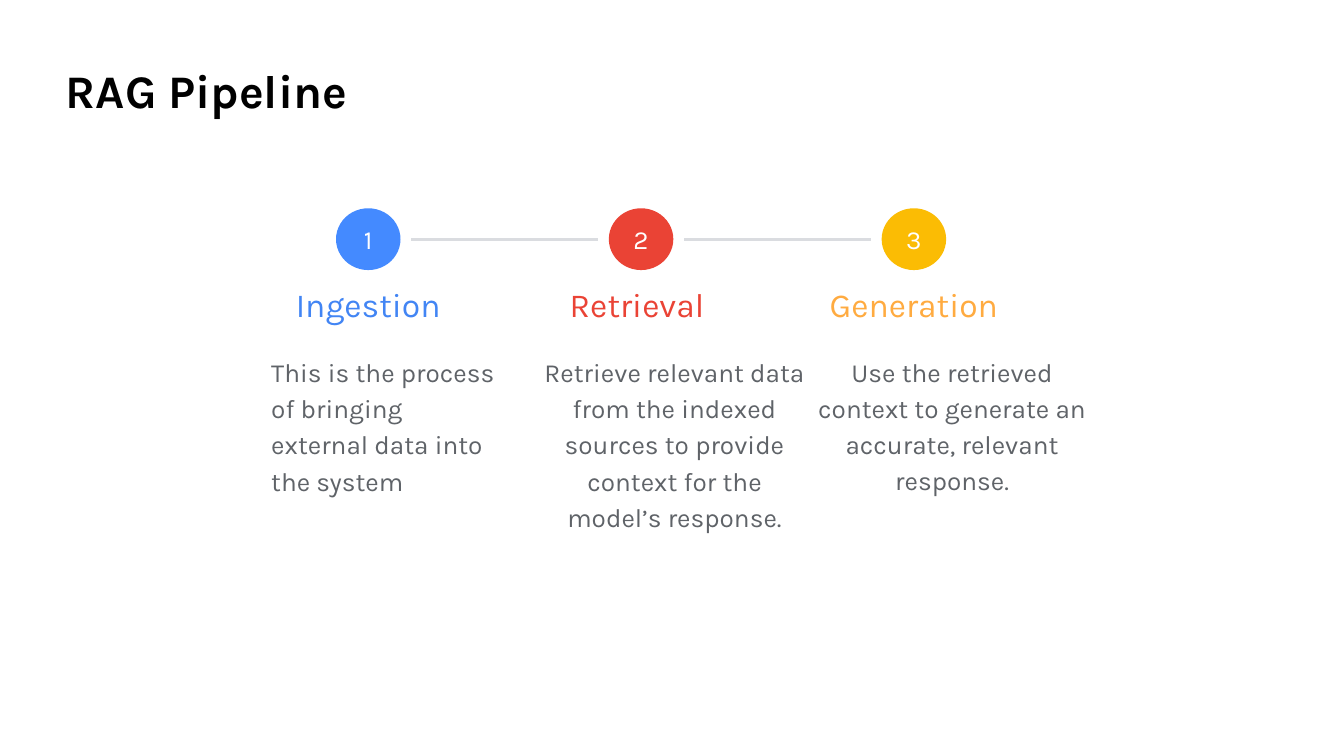
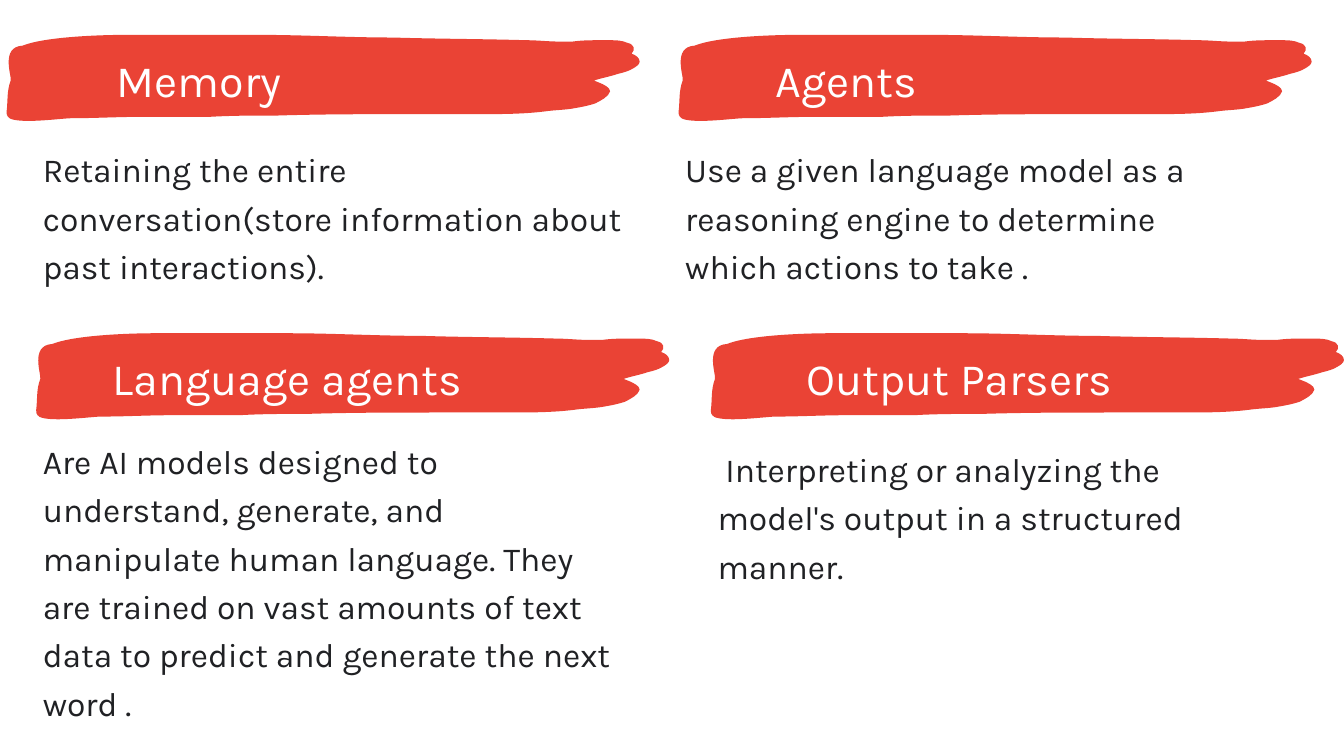
import pptx
import pptx.dml.color
import pptx.enum.shapes
import pptx.enum.text
import pptx.oxml.ns
import pptx.util
from lxml import etree

RGBColor = pptx.dml.color.RGBColor
Inches = pptx.util.Inches
ALIGN = pptx.enum.text.PP_ALIGN
ANCHOR = pptx.enum.text.MSO_ANCHOR
AUTO_SIZE = pptx.enum.text.MSO_AUTO_SIZE

BLACK = RGBColor(0x00, 0x00, 0x00)
WHITE = RGBColor(0xFF, 0xFF, 0xFF)
INK = RGBColor(0x20, 0x21, 0x24)
GRAY = RGBColor(0x5F, 0x63, 0x68)
LINE_GRAY = RGBColor(0xDA, 0xDC, 0xE0)
BLUE = RGBColor(0x42, 0x85, 0xF4)
BRIGHT_BLUE = RGBColor(0x44, 0x8A, 0xFF)
RED = RGBColor(0xEA, 0x43, 0x35)
YELLOW = RGBColor(0xFB, 0xBC, 0x04)
ORANGE = RGBColor(0xFF, 0xAB, 0x40)

FONT = "Karla"
SLIDE_WIDTH, SLIDE_HEIGHT = 10, 5.625
TITLE_ONLY_LAYOUT, BLANK_LAYOUT = 5, 6
BOX_MARGINS = (0.1, 0.1, 0.1, 0.1)
BANNER_MARGINS = (0, 0, 0.25, 0)

# Pipeline steps stand in equal columns.
STEP_LEFT, STEP_PITCH = 1.92, 2.03
HEADING_WIDTH, HEADING_HEIGHT = 1.64, 0.51
HEADING_TOP = 2.01
BODY_TOP = HEADING_TOP + HEADING_HEIGHT
CIRCLE_WIDTH, CIRCLE_HEIGHT = 0.48, 0.46
CIRCLE_TOP = HEADING_TOP - CIRCLE_HEIGHT
CIRCLE_GAP = 0.08

STEPS = [
    ("Ingestion", "This is the process of bringing external data into the system",
     BLUE, BRIGHT_BLUE, ALIGN.LEFT, (1.93, 1.02)),
    ("Retrieval ", "Retrieve relevant data from the indexed sources to provide "
     "context for the model’s response.",
     RED, RED, ALIGN.CENTER, (2.14, 1.02)),
    ("Generation", "Use the retrieved context to generate an accurate, relevant response.",
     ORANGE, YELLOW, ALIGN.CENTER, (2.21, 1.93)),
]

# Brush stroke in hundredths of an inch: a start, then cubic curves
# (two control points and an end point).
BRUSH_START = (121, 0)
BRUSH_CURVES = [
    (111, 0, 102, 0, 92, 0), (91, 0, 37, 0, 17, 8), (0, 9, 9, 31, 8, 34),
    (5, 42, 6, 49, 5, 57), (5, 59, 5, 60, 6, 61), (7, 63, 13, 64, 21, 64),
    (33, 64, 49, 62, 53, 62), (71, 62, 88, 61, 106, 61),
    (123, 61, 139, 61, 156, 61), (173, 60, 190, 60, 207, 60),
    (240, 59, 274, 59, 307, 59), (324, 59, 340, 59, 356, 59),
    (372, 59, 389, 59, 405, 57), (412, 56, 418, 56, 425, 55),
    (431, 54, 437, 53, 443, 51), (447, 49, 453, 46, 454, 42),
    (454, 39, 449, 37, 447, 36), (445, 35, 444, 35, 442, 34),
    (448, 32, 454, 31, 460, 29), (464, 28, 468, 27, 471, 25),
    (473, 24, 476, 22, 476, 20), (476, 17, 473, 15, 470, 14),
    (473, 11, 472, 7, 467, 6), (463, 4, 458, 4, 453, 4),
    (451, 4, 449, 4, 447, 4), (440, 4, 433, 4, 426, 5),
    (424, 5, 422, 5, 420, 5), (419, 5, 418, 5, 417, 5),
    (408, 5, 400, 4, 392, 4), (358, 3, 325, 3, 292, 2),
    (259, 2, 226, 0, 192, 0), (168, 0, 145, 0, 121, 0),
]
BANNER_TOPS = (0.26, 2.48)
LABEL_DROP = 0.13
LABEL_SIZE = (3.88, 0.39)

# row, brush left, label, label left, body box, space after, body
TOPICS = [
    (0, 0, "Memory", 0.87, (0.22, 0.95, 4.54, 1.23), 7,
     "Retaining the entire conversation(store information about past interactions)."),
    (0, 5, "Agents", 5.77, (5, 0.95, 4.42, 1.63), 0,
     "Use a given language model as a reasoning engine to determine "
     "which actions to take ."),
    (1, 0.22, "Language agents", 0.84, (0.22, 3.12, 4.54, 1.96), 7,
     "Are AI models designed to understand, generate, and manipulate human "
     "language. They are trained on vast amounts of text data to predict and "
     "generate the next word ."),
    (1, 5.24, "Output Parsers", 6, (5.24, 3.18, 4.42, 1.26), 0,
     " Interpreting or analyzing the model's output in a structured manner."),
]


def write_text(shape, text, *, size, color, bold=False, align=ALIGN.LEFT,
               anchor=ANCHOR.TOP, margins=BOX_MARGINS, line_spacing=1.0,
               space_after=0, grow=False):
    frame = shape.text_frame
    frame.word_wrap = True
    frame.auto_size = AUTO_SIZE.SHAPE_TO_FIT_TEXT if grow else AUTO_SIZE.NONE
    frame.vertical_anchor = anchor
    (frame.margin_left, frame.margin_top,
     frame.margin_right, frame.margin_bottom) = map(Inches, margins)
    paragraph = frame.paragraphs[0]
    paragraph.alignment = align
    paragraph.line_spacing = line_spacing
    paragraph.space_before = pptx.util.Pt(0)
    paragraph.space_after = pptx.util.Pt(space_after)
    run = paragraph.add_run()
    run.text = text
    run.font.name = FONT
    run.font.size = pptx.util.Pt(size)
    run.font.bold = bold
    run.font.color.rgb = color


def add_text(slide, box, text, **text_format):
    shape = slide.shapes.add_textbox(*map(Inches, box))
    write_text(shape, text, **text_format)


def set_title(slide, box, text):
    title = slide.shapes.title
    title.left, title.top, title.width, title.height = map(Inches, box)
    write_text(title, text, size=25, color=BLACK, bold=True, line_spacing=1.15, grow=True)


def paint(shape, color):
    """Give a shape a flat fill with no outline or shadow."""
    shape.shadow.inherit = False
    shape.fill.solid()
    shape.fill.fore_color.rgb = color
    shape.line.fill.background()


def add_numbered_circle(slide, left, number, color):
    box = (left, CIRCLE_TOP, CIRCLE_WIDTH, CIRCLE_HEIGHT)
    circle = slide.shapes.add_shape(
        pptx.enum.shapes.MSO_SHAPE.OVAL, *map(Inches, box))
    paint(circle, color)
    write_text(circle, str(number), size=14, color=WHITE,
               align=ALIGN.CENTER, anchor=ANCHOR.MIDDLE)


def add_step_line(slide, start, end):
    y = CIRCLE_TOP + CIRCLE_HEIGHT / 2
    line = slide.shapes.add_connector(
        pptx.enum.shapes.MSO_CONNECTOR.STRAIGHT, *map(Inches, (start, y, end, y)))
    line.line.color.rgb = LINE_GRAY
    line.line.width = pptx.util.Pt(1.5)
    etree.SubElement(line._element.spPr, pptx.oxml.ns.qn("a:effectLst"))


def curve_segments(shape):
    """Turn each three straight segments of a freeform into one cubic curve."""
    segments = list(shape._element.iter(pptx.oxml.ns.qn("a:lnTo")))
    for first, second, third in zip(segments[::3], segments[1::3], segments[2::3]):
        curve = etree.Element(pptx.oxml.ns.qn("a:cubicBezTo"))
        first.addprevious(curve)
        for segment in (first, second, third):
            curve.append(segment[0])
            segment.getparent().remove(segment)


def add_brush(slide, left, top):
    builder = slide.shapes.build_freeform(*BRUSH_START, scale=Inches(1) / 100)
    points = [curve[i:i + 2] for curve in BRUSH_CURVES for i in (0, 2, 4)]
    builder.add_line_segments(points, close=True)
    brush = builder.convert_to_shape(Inches(left), Inches(top))
    curve_segments(brush)
    paint(brush, RED)


def build_pipeline_slide(presentation):
    slide = presentation.slides.add_slide(presentation.slide_layouts[TITLE_ONLY_LAYOUT])
    set_title(slide, (0.39, 0.3, 3.28, 0.62), "RAG Pipeline")
    for index, (heading, body, color, circle_color, align, size) in enumerate(STEPS):
        left = STEP_LEFT + index * STEP_PITCH
        circle_left = left + (HEADING_WIDTH - CIRCLE_WIDTH) / 2
        add_text(slide, (left, HEADING_TOP, HEADING_WIDTH, HEADING_HEIGHT), heading,
                 size=18, color=color, align=ALIGN.CENTER, anchor=ANCHOR.MIDDLE)
        add_text(slide, (left, BODY_TOP, *size), body,
                 size=14, color=GRAY, align=align, line_spacing=1.15)
        add_numbered_circle(slide, circle_left, index + 1, circle_color)
        if index < len(STEPS) - 1:
            add_step_line(slide, circle_left + CIRCLE_WIDTH + CIRCLE_GAP,
                          circle_left + STEP_PITCH - CIRCLE_GAP)


def build_topics_slide(presentation):
    slide = presentation.slides.add_slide(presentation.slide_layouts[BLANK_LAYOUT])
    for row, brush_left, label, label_left, body_box, space_after, body in TOPICS:
        top = BANNER_TOPS[row]
        add_text(slide, body_box, body, size=18, color=INK,
                 line_spacing=1.2, space_after=space_after, grow=True)
        add_brush(slide, brush_left, top)
        add_text(slide, (label_left, top + LABEL_DROP, *LABEL_SIZE), label,
                 size=24, color=WHITE, margins=BANNER_MARGINS)


def main():
    presentation = pptx.Presentation()
    presentation.slide_width = Inches(SLIDE_WIDTH)
    presentation.slide_height = Inches(SLIDE_HEIGHT)
    build_pipeline_slide(presentation)
    build_topics_slide(presentation)
    presentation.save("out.pptx")


if __name__ == "__main__":
    main()
